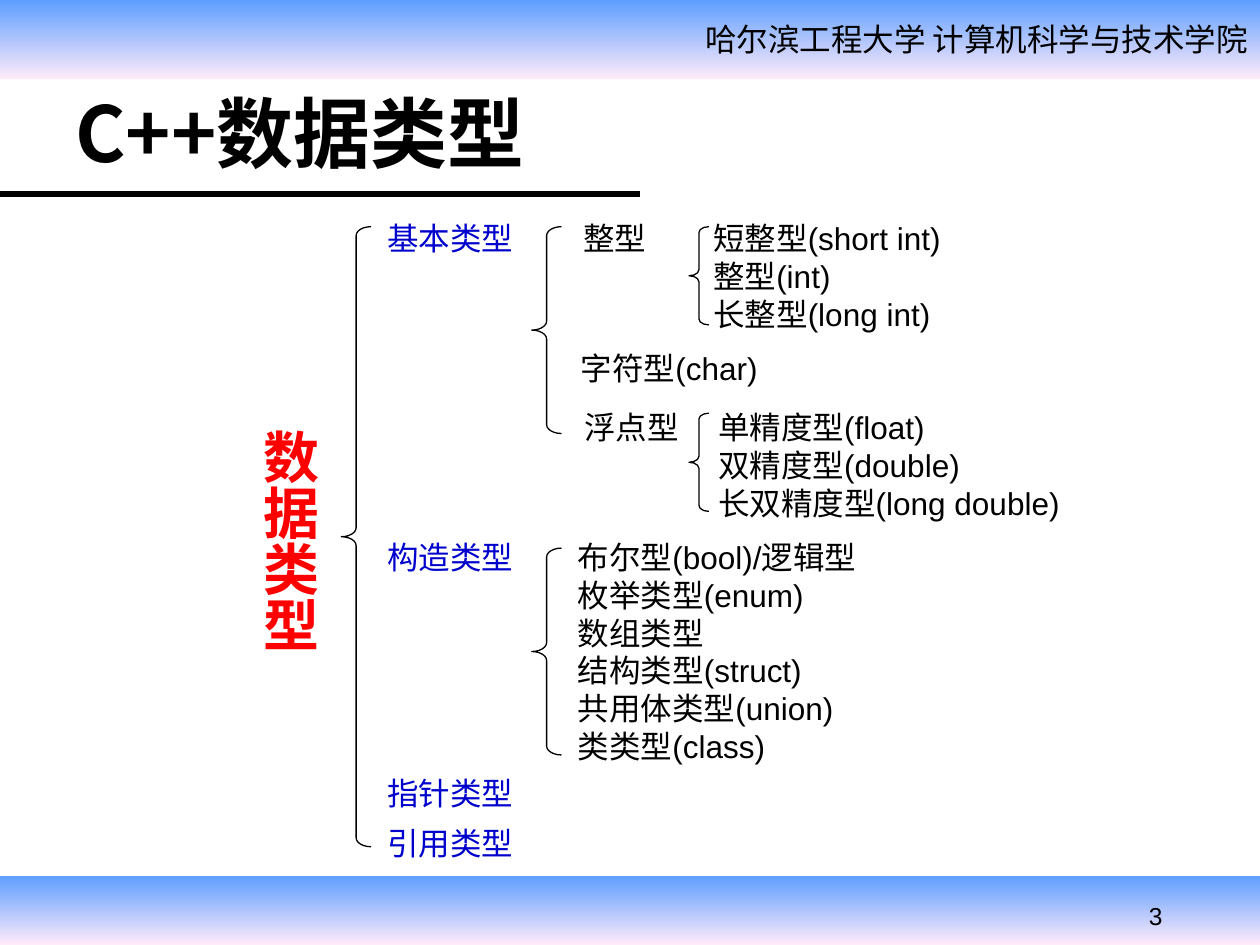
from lxml.etree import SubElement
from pptx import Presentation
from pptx.dml.color import RGBColor
from pptx.enum.shapes import MSO_CONNECTOR as CONNECTOR, MSO_SHAPE as SHAPE
from pptx.enum.text import MSO_ANCHOR as ANCHOR, PP_ALIGN as ALIGN
from pptx.oxml.ns import qn
from pptx.util import Cm, Pt


def color(value):
    return RGBColor.from_string(value)


def add_text(left, top, width, height, lines, size=18, font="Arial", fill="000000",
             bold=False, frame_format=None, paragraph_format=None):
    shape = slide.shapes.add_textbox(Cm(left), Cm(top), Cm(width), Cm(height))
    frame = shape.text_frame
    for name, value in {"word_wrap": False, **(frame_format or {})}.items():
        setattr(frame, name, value)
    frame.text = "\n".join(lines)
    for paragraph in frame.paragraphs:
        for name, value in (paragraph_format or {}).items():
            setattr(paragraph, name, value)
        run = paragraph.runs[0]
        for name, value in {"name": font, "size": Pt(size), "bold": bold}.items():
            setattr(run.font, name, value)
        run.font.color.rgb = color(fill)
        SubElement(run.font._element, qn("a:ea"), typeface=font)
    return shape


presentation = Presentation()
presentation.slide_width = Cm(25.4)
presentation.slide_height = Cm(19.05)
slide = presentation.slides.add_slide(presentation.slide_layouts[6])

for top, height in [(0, 1.6), (17.65, 1.4)]:
    band = slide.shapes.add_shape(SHAPE.RECTANGLE, 0, Cm(top), Cm(25.4), Cm(height))
    band.shadow.inherit = False
    band.line.fill.background()
    band.fill.gradient()
    band.fill.gradient_angle = 270
    for stop, value, position in zip(band.fill.gradient_stops, ["5E9EFF", "FFEBFA"], [0, 1]):
        stop.color.rgb = color(value)
        stop.position = position

rule = slide.shapes.add_connector(CONNECTOR.STRAIGHT, 0, Cm(3.91), Cm(12.9), Cm(3.91))
rule.line.color.rgb = color("000000")
rule.line.width = Pt(3)
SubElement(rule._element.spPr, qn("a:effectLst"))

row_format = {"line_spacing": Pt(21.6)}
add_text(0.08, 0.28, 25.32, 1.02, ["哈尔滨工程大学 计算机科学与技术学院"], font="Noto Sans CJK JP",
         frame_format={"word_wrap": True},
         paragraph_format={**row_format, "alignment": ALIGN.RIGHT})
add_text(22.91, 18.03, 2.4, 0.86, ["3"], size=14, frame_format={"word_wrap": True})
add_text(1.27, 1.38, 22.86, 2.54, ["C++数据类型"], size=44, font="Noto Sans CJK SC", bold=True,
         frame_format={"word_wrap": True, "vertical_anchor": ANCHOR.MIDDLE})

categories = [("基本类型", 4.29), ("构造类型", 10.72), ("指针类型", 15.47), ("引用类型", 16.48)]
for label, top in categories:
    add_text(7.56, top, 3.1, 1.02, [label], fill="0000CC", paragraph_format=row_format)

type_lists = [
    (11.51, 4.29, 1.85, ["整型"]),
    (11.46, 6.91, 4.4, ["字符型(char)"]),
    (11.53, 8.1, 2.5, ["浮点型"]),
    (14.13, 4.29, 5.6, ["短整型(short int)", "整型(int)", "长整型(long int)"]),
    (14.23, 8.1, 7.8, ["单精度型(float)", "双精度型(double)", "长双精度型(long double)"]),
    (11.4, 10.72, 6.7, ["布尔型(bool)/逻辑型", "枚举类型(enum)", "数组类型",
                        "结构类型(struct)", "共用体类型(union)", "类类型(class)"]),
]
for left, top, width, lines in type_lists:
    height = 0.25 + 0.76 * len(lines)
    add_text(left, top, width, height, lines, paragraph_format=row_format)

root = add_text(4.8, 8.41, 1.85, 4.9, ["数据类型"], size=32, fill="FF0000", bold=True,
                frame_format={"margin_left": Cm(0.13), "margin_right": Cm(0.13),
                              "margin_top": Cm(0.25), "margin_bottom": Cm(0.25)})
root.text_frame._txBody.bodyPr.set("vert", "eaVert")

braces = [
    (6.88, 4.57, 0.6, 12.5),
    (10.72, 4.57, 0.6, 4.17),
    (13.89, 4.57, 0.4, 1.98),
    (13.89, 8.33, 0.4, 1.98),
    (10.72, 11.05, 0.6, 4.17),
]
for left, top, width, height in braces:
    brace = slide.shapes.add_shape(SHAPE.LEFT_BRACE, Cm(left), Cm(top), Cm(width), Cm(height))
    brace.shadow.inherit = False
    brace.fill.background()
    brace.line.color.rgb = color("000000")
    brace.line.width = Pt(0.75)
    brace.adjustments[0] = 0.3

presentation.save("out.pptx")
